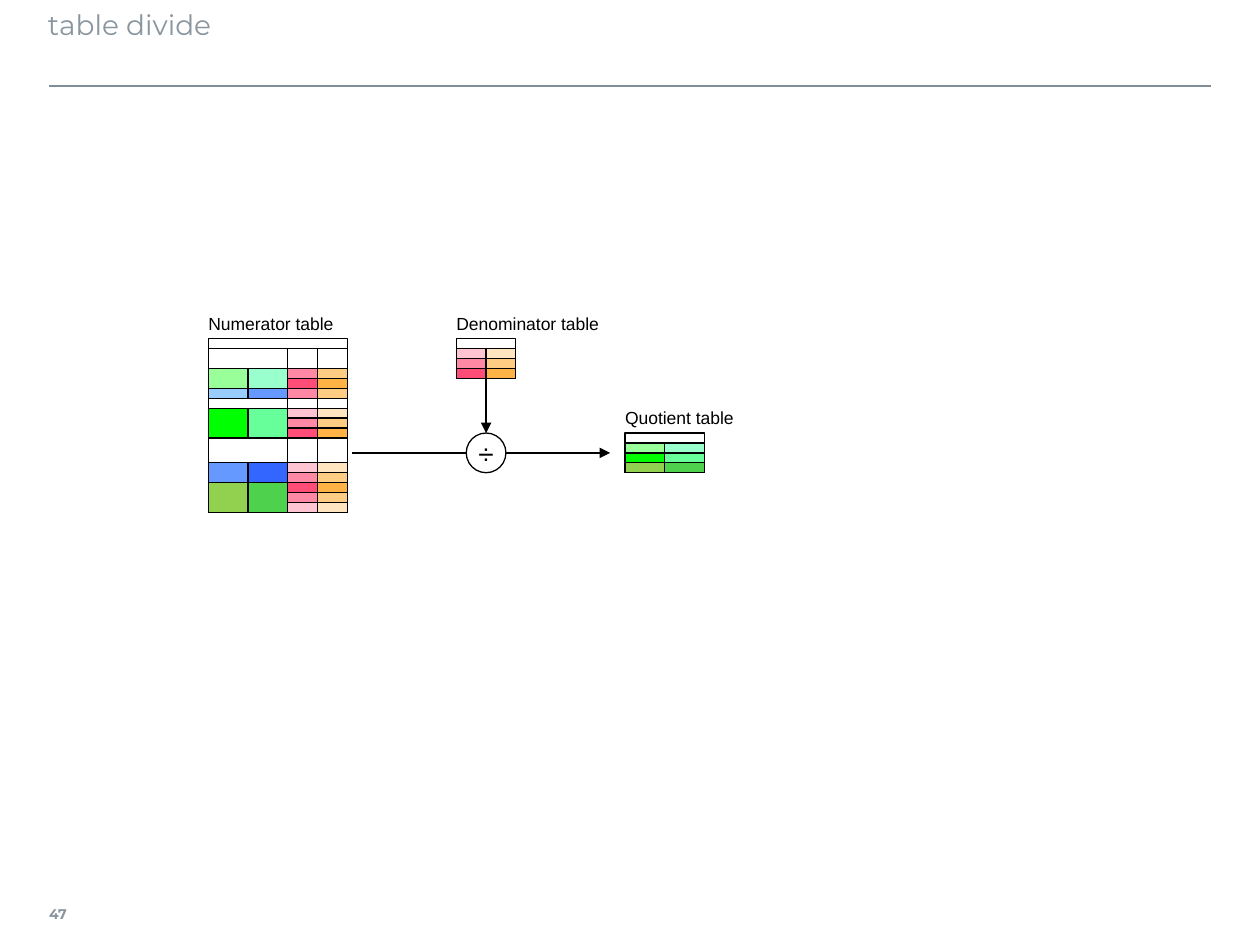
"""Builds the table divide slide: numerator, denominator and quotient tables."""
from lxml import etree
from pptx import Presentation
from pptx import util as u
from pptx.dml.color import RGBColor
from pptx.enum import shapes, text
from pptx.oxml.ns import qn

UNIT = u.Mm(2)
BLACK, WHITE, GREY, RULE = "000000", "FFFFFF", "8996A0", "808D97"
LIGHT, MEDIUM, STRONG = ("FFC4D2", "FFE6C1"), ("FF88A4", "FFCC84"), ("FF4D77", "FFB346")
MINT, LIME, LEAF = ("99FF99", "99FFCC"), ("00FF00", "66FF99"), ("92D050", "4ED24E")
SKY, BLUE = ("99CCFF", "6699FF"), ("6699FF", "3366FF")

NUMERATOR_BLOCKS = [
    (2, None, []),
    (2, MINT, [MEDIUM, STRONG]),
    (1, SKY, [MEDIUM]),
    (1, None, []),
    (3, LIME, [LIGHT, MEDIUM, STRONG]),
    (2.5, None, []),
    (2, BLUE, [LIGHT, MEDIUM]),
    (3, LEAF, [STRONG, MEDIUM, LIGHT]),
]
KEY_WIDTH, VALUE_WIDTH = 4, 3
TABLES = {
    "Numerator table": (21, 34.15, 14, 17.5),
    "Denominator table": (46, 34.15, 6, 4),
    "Quotient table": (63, 43.65, 8, 4),
}
SMALL_TABLES = {
    "Denominator table": (VALUE_WIDTH, [LIGHT, MEDIUM, STRONG]),
    "Quotient table": (KEY_WIDTH, [MINT, LIME, LEAF]),
}
DIVIDE = (47, 43.65, 4, 4)
FLOW_Y = DIVIDE[1] + DIVIDE[3] / 2
LABEL = {"size": u.Pt(10), "name": "Arial", "bold": False}
LABEL_WIDTH = 16


def rgb(value):
    return RGBColor.from_string(value)


def grid(*lengths):
    return [round(length * UNIT) for length in lengths]


def box(slide, place, fill=None, kind=shapes.MSO_SHAPE.RECTANGLE):
    shape = slide.shapes.add_shape(kind, *grid(*place))
    shape.shadow.inherit = False
    if fill:
        shape.fill.solid()
        shape.fill.fore_color.rgb = rgb(fill)
    else:
        shape.fill.background()
    shape.line.color.rgb = rgb(BLACK)
    shape.line.width = u.Pt(0.75)
    return shape


def row(slide, left, top, width, height, colours):
    for column, colour in enumerate(colours):
        box(slide, (left + column * width, top, width, height), colour)


def write(shape, words, font, colour, margins, wrap=False,
          anchor=text.MSO_ANCHOR.MIDDLE, align=text.PP_ALIGN.LEFT):
    frame = shape.text_frame
    frame.word_wrap = wrap
    frame.vertical_anchor = anchor
    for side, inset in zip(("left", "top", "right", "bottom"), margins):
        setattr(frame, f"margin_{side}", u.Inches(inset))
    paragraph = frame.paragraphs[0]
    paragraph.alignment = align
    run = paragraph.add_run()
    run.text = words
    for name, value in font.items():
        setattr(run.font, name, value)
    run.font.color.rgb = rgb(colour)


def connect(slide, start, end, colour=BLACK, width=0.75, arrow=False):
    link = slide.shapes.add_connector(shapes.MSO_CONNECTOR.STRAIGHT, *start, *end)
    link.line.color.rgb = rgb(colour)
    link.line.width = u.Pt(width)
    if arrow:
        etree.SubElement(link.line._get_or_add_ln(), qn("a:tailEnd"), type="triangle")
    etree.SubElement(link._element.spPr, qn("a:effectLst"))
    return link


def draw_numerator(slide, left, top):
    values_left = left + 2 * KEY_WIDTH
    top += 1
    for height, keys, values in NUMERATOR_BLOCKS:
        if keys:
            row(slide, left, top, KEY_WIDTH, height, keys)
            for index, pair in enumerate(values):
                row(slide, values_left, top + index, VALUE_WIDTH, 1, pair)
        else:
            row(slide, left, top, 2 * KEY_WIDTH, height, [WHITE])
            row(slide, values_left, top, VALUE_WIDTH, height, [WHITE, WHITE])
        top += height


def main():
    deck = Presentation()
    deck.slide_width, deck.slide_height = u.Inches(10), u.Inches(7.5)
    slide = deck.slides.add_slide(deck.slide_layouts[6])

    title = slide.shapes.add_textbox(*map(u.Inches, (0.38, 0.01, 9.21, 0.63)))
    write(title, "table divide", {"size": u.Pt(16), "name": "Montserrat"}, GREY,
          (0, 0.05, 0.1, 0.05), True, text.MSO_ANCHOR.TOP)
    rule_y = u.Inches(0.68)
    connect(slide, (u.Inches(0.39), rule_y), (u.Inches(9.61), rule_y), RULE, 1)
    number = slide.shapes.add_textbox(*map(u.Inches, (0.39, 7.06, 0.35, 0.39)))
    write(number, "47", {"size": u.Pt(8), "name": "Montserrat", "bold": True}, GREY,
          (0, 0.05, 0.08, 0.05))

    outlines = {}
    for caption, (left, top, width, height) in TABLES.items():
        if caption in SMALL_TABLES:
            column_width, pairs = SMALL_TABLES[caption]
            for index, pair in enumerate(pairs, 1):
                row(slide, left, top + index, column_width, 1, pair)
        else:
            draw_numerator(slide, left, top)
        outlines[caption] = box(slide, (left, top, width, height))
        heading = slide.shapes.add_textbox(*grid(left - 0.5, top - 2.55, LABEL_WIDTH, 2))
        write(heading, caption, LABEL, BLACK, [0.04] * 4)

    divide = box(slide, DIVIDE, kind=shapes.MSO_SHAPE.OVAL)
    write(divide, "÷", {"size": u.Pt(16), "name": "Arial"}, BLACK, [0.04] * 4,
          align=text.PP_ALIGN.CENTER)
    down = connect(slide, (0, 0), (0, 0), arrow=True)
    down.begin_connect(outlines["Denominator table"], 2)
    down.end_connect(divide, 0)
    connect(slide, grid(35.5, FLOW_Y), grid(DIVIDE[0], FLOW_Y))
    connect(slide, grid(DIVIDE[0] + DIVIDE[2], FLOW_Y), grid(61.5, FLOW_Y), arrow=True)

    deck.save("out.pptx")


if __name__ == "__main__":
    main()
